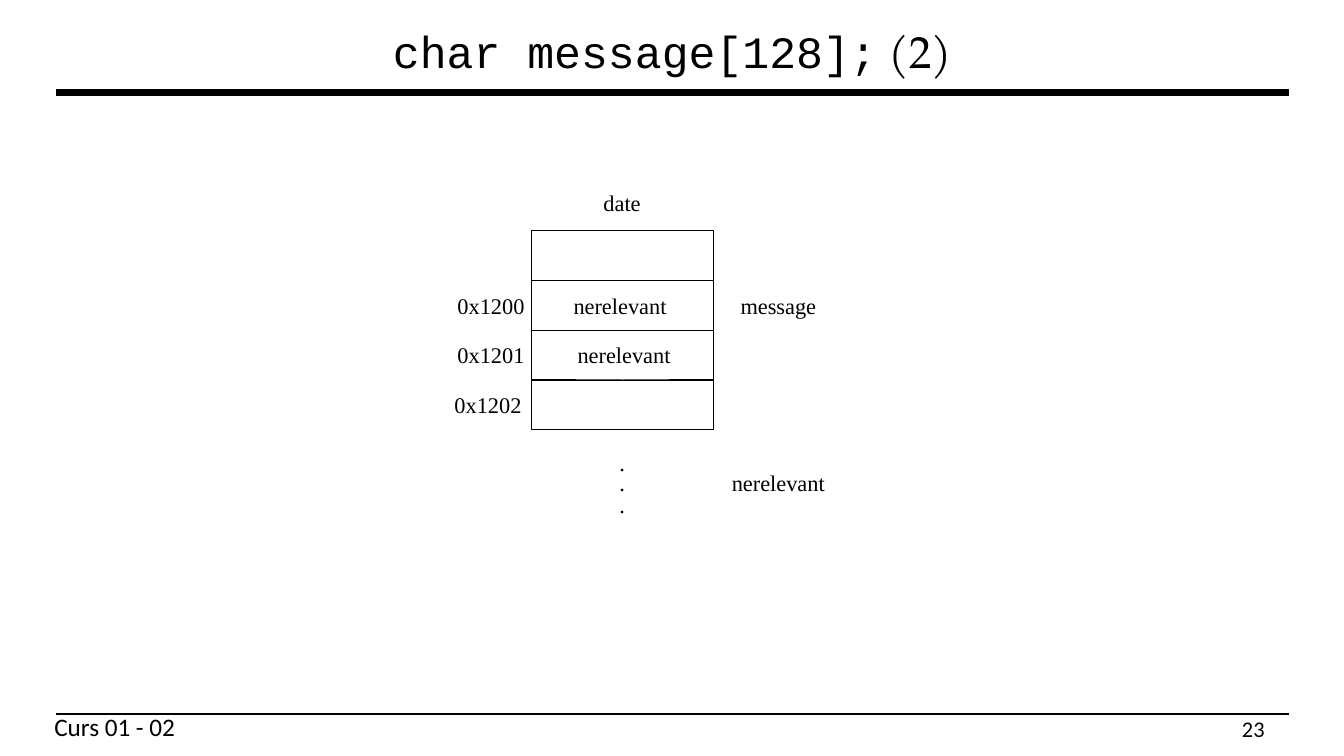
from lxml.etree import SubElement
from pptx import Presentation
from pptx.dml.color import RGBColor
from pptx.enum.shapes import MSO_CONNECTOR, MSO_SHAPE
from pptx.enum.text import MSO_ANCHOR, PP_ALIGN
from pptx.oxml.ns import qn
from pptx.util import Inches, Pt

INK = "000000"
TITLE = [("char message[128];", "Courier New"), (" (2)", "TeX Gyre Pagella")]
RULES = [(0.92, 5), (7.08, 1.5)]  # height on the slide, line width
FOOTERS = [("Curs 01 - 02", 0.44, 7.01, 1.84, 0.4, 18),
           ("23", 12.22, 7.05, 0.57, 0.37, 16)]

# Each memory cell holds (text, left, width) labels set on its row
MEMORY = [
    [],
    [("0x1200", 4.4, 0.94), ("nerelevant", 5.31, 1.68), ("message", 6.98, 1.48)],
    [("0x1201", 4.4, 0.94), ("nerelevant", 5.35, 1.68)],
    [("0x1202", 4.37, 0.94)],
]
HEADING = ("date", 5.7, 1.83, 0.94)
REST = ("nerelevant", 6.88, 4.61, 1.68)
DOT_TOPS = [4.41, 4.61, 4.82]

LEFT, RIGHT = 0.56, 12.78
CELL_LEFT, CELL_TOP, CELL_WIDTH, CELL_HEIGHT = 5.27, 2.29, 1.81, 0.49
ROW_STEP = 0.495
LABEL_HEIGHT = 0.37


def color(hex_code):
    return RGBColor.from_string(hex_code)


def add_run(paragraph, text, font_name, size):
    run = paragraph.add_run()
    run.text = text
    for attribute, value in {"name": font_name, "size": Pt(size)}.items():
        setattr(run.font, attribute, value)
    run.font.color.rgb = color(INK)


def add_text(slide, text, left, top, width, height=LABEL_HEIGHT, size=16,
             font_name="Times New Roman", align=PP_ALIGN.CENTER):
    box = slide.shapes.add_textbox(*map(Inches, (left, top, width, height)))
    box.text_frame.word_wrap = True
    paragraph = box.text_frame.paragraphs[0]
    paragraph.alignment = align
    add_run(paragraph, text, font_name, size)


def add_rule(slide, height, width):
    """Draw a horizontal line across the slide's content width."""
    rule = slide.shapes.add_connector(
        MSO_CONNECTOR.STRAIGHT, *map(Inches, (LEFT, height, RIGHT, height)))
    rule.line.color.rgb = color(INK)
    rule.line.width = Pt(width)
    SubElement(rule._element.spPr, qn("a:effectLst"))


def add_title(slide):
    title = slide.shapes.title
    place = {"left": LEFT, "top": 0.17, "width": RIGHT - LEFT, "height": 0.67}
    for attribute, value in place.items():
        setattr(title, attribute, Inches(value))
    title.text_frame.vertical_anchor = MSO_ANCHOR.MIDDLE
    paragraph = title.text_frame.paragraphs[0]
    paragraph.alignment = PP_ALIGN.CENTER
    for text, font_name in TITLE:
        add_run(paragraph, text, font_name, 32)


def add_cell(slide, top):
    cell = slide.shapes.add_shape(
        MSO_SHAPE.RECTANGLE,
        *map(Inches, (CELL_LEFT, top, CELL_WIDTH, CELL_HEIGHT)))
    cell.shadow.inherit = False
    cell.fill.background()
    cell.line.color.rgb = color(INK)
    cell.line.width = Pt(0.75)


def main():
    deck = Presentation()
    deck.slide_width, deck.slide_height = Inches(13.33), Inches(7.5)
    slide = deck.slides.add_slide(deck.slide_layouts[5])

    add_title(slide)
    for height, width in RULES:
        add_rule(slide, height, width)
    for text, left, top, width, height, size in FOOTERS:
        add_text(slide, text, left, top, width, height, size, "Calibri", PP_ALIGN.LEFT)

    add_text(slide, *HEADING)
    for row, labels in enumerate(MEMORY):
        top = CELL_TOP + row * ROW_STEP
        add_cell(slide, top)
        for text, left, width in labels:
            add_text(slide, text, left, top + (CELL_HEIGHT - LABEL_HEIGHT) / 2, width)
    for top in DOT_TOPS:
        add_text(slide, ".", 5.7, top, 0.94)
    add_text(slide, *REST)

    deck.save("out.pptx")


if __name__ == "__main__":
    main()
